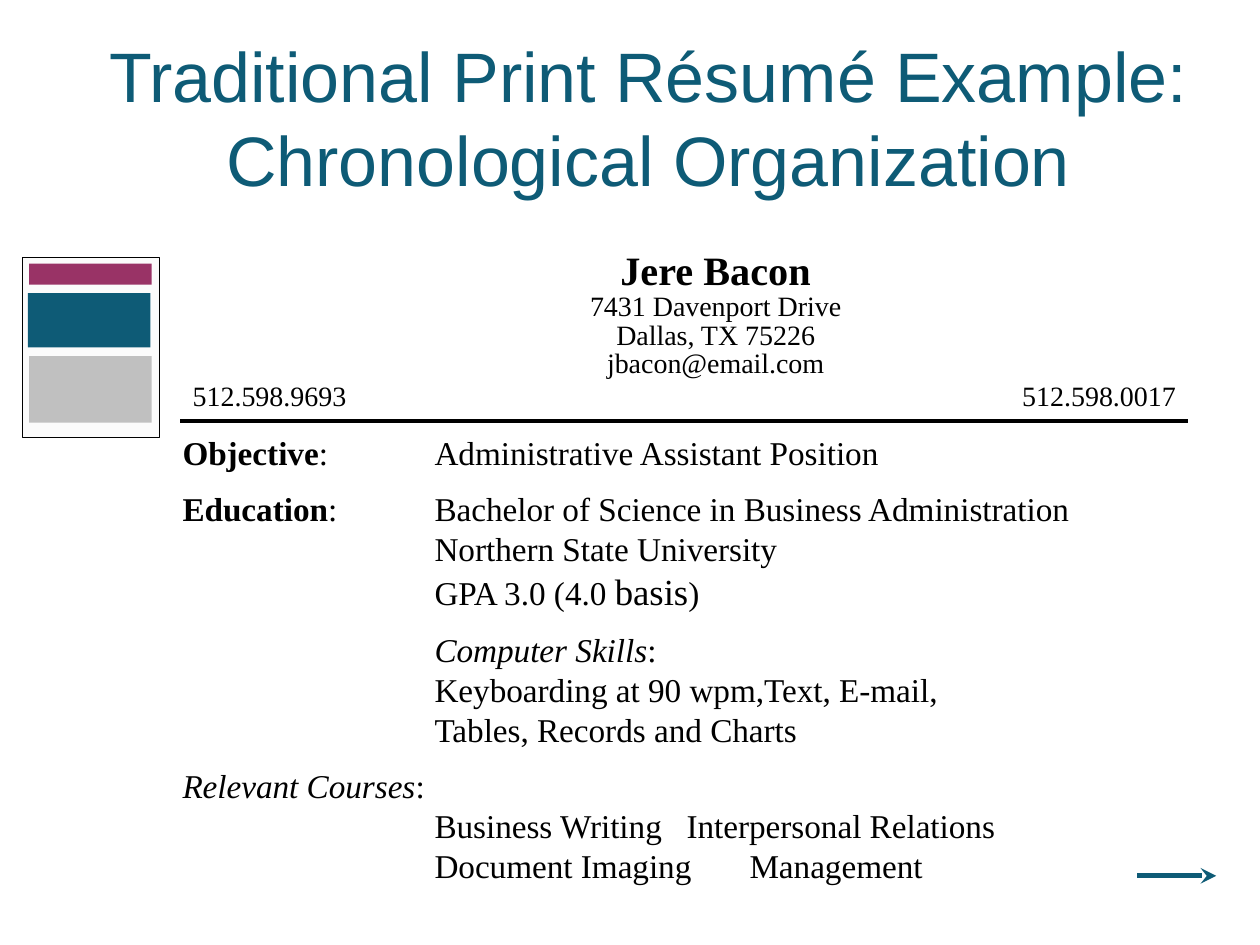
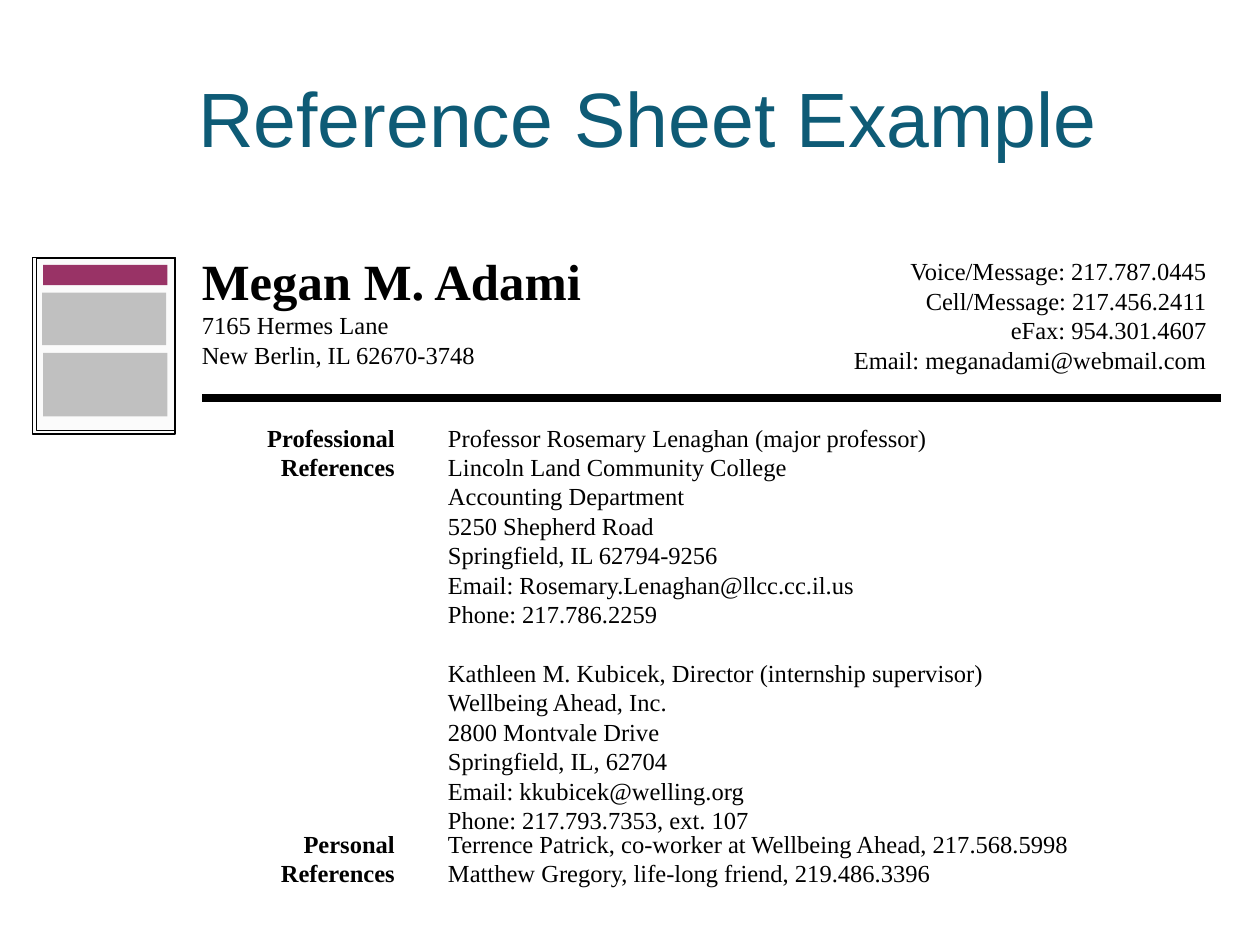
from lxml.etree import SubElement
from pptx import Presentation
from pptx.dml.color import RGBColor
from pptx.enum.shapes import MSO_CONNECTOR, MSO_SHAPE
from pptx.enum.text import MSO_ANCHOR, PP_ALIGN
from pptx.oxml.ns import qn
from pptx.util import Pt

COLORS = {
    "teal": "0E5B76",
    "plum": "993366",
    "silver": "C0C0C0",
    "paper": "FBFBFB",
    "black": "000000",
}
LEFT, CENTER, RIGHT = PP_ALIGN.LEFT, PP_ALIGN.CENTER, PP_ALIGN.RIGHT
WIDE_INSETS = (8, 4)


def color(name):
    return RGBColor.from_string(COLORS[name])


class SlideWriter:
    title_font = "Arial"
    body_font = "Times New Roman"

    def __init__(self, deck):
        self.deck = deck
        self.page = None

    def start_page(self, title, size):
        self.page = self.deck.slides.add_slide(self.deck.slide_layouts[6])
        paragraph = self.text(43, 21.5, 654.5, 90, [title], size, CENTER,
                              font=self.title_font, ink="teal", anchor=MSO_ANCHOR.MIDDLE)[0]
        self.text_shadow(paragraph.runs[0])

    def text_shadow(self, span):
        effects = SubElement(span.font._element, qn("a:effectLst"))
        shadow = SubElement(effects, qn("a:outerShdw"), dist="25400", dir="2700000")
        SubElement(shadow, qn("a:srgbClr"), val=COLORS["black"])

    def text(self, left, top, width, height, lines, size, align=LEFT, font=body_font,
             ink="black", bold=None, insets=(7.2, 3.6), anchor=MSO_ANCHOR.TOP,
             spacing=None, before=0, hanging=0):
        box = self.page.shapes.add_textbox(Pt(left), Pt(top), Pt(width), Pt(height))
        frame = box.text_frame
        frame.word_wrap = True
        frame.vertical_anchor = anchor
        frame.margin_left = frame.margin_right = Pt(insets[0])
        frame.margin_top = frame.margin_bottom = Pt(insets[1])
        for index, line in enumerate(lines):
            paragraph = frame.add_paragraph() if index else frame.paragraphs[0]
            if hanging:
                properties = paragraph._p.get_or_add_pPr()
                properties.set("marL", str(Pt(hanging)))
                properties.set("indent", str(-Pt(hanging) if "\t" in line[0][0] + line[1][0] else 0))
            paragraph.alignment = align
            paragraph.line_spacing = spacing
            paragraph.space_before = Pt(before if index else 0)
            paragraph.font.name = font
            paragraph.font.size = Pt(size)
            paragraph.font.bold = bold
            paragraph.font.color.rgb = color(ink)
            self.spans(paragraph, [(line, {})] if isinstance(line, str) else line)
        return frame.paragraphs

    def spans(self, paragraph, spans):
        for words, style in spans:
            for index, part in enumerate(words.split("\n")):
                if index:
                    paragraph.add_line_break()
                span = paragraph.add_run()
                span.text = part
                for name, value in style.items():
                    setattr(span.font, name, value)

    def rectangle(self, left, top, width, height, fill, outline=None):
        box = self.page.shapes.add_shape(MSO_SHAPE.RECTANGLE, Pt(left), Pt(top),
                                         Pt(width), Pt(height))
        box.shadow.inherit = False
        box.fill.solid()
        box.fill.fore_color.rgb = color(fill)
        if outline:
            box.line.color.rgb = color(outline)
            box.line.width = Pt(0.75)
        else:
            box.line.fill.background()

    def thumbnail(self, left, top, width, height, bars):
        self.rectangle(left, top, width, height, "paper", "black")
        for fill, shift, bar_top, bar_height in bars:
            self.rectangle(left + shift, bar_top, width - 8, bar_height, fill)

    def rule(self, left, right, top, weight, ink="black", arrow=False):
        line = self.page.shapes.add_connector(MSO_CONNECTOR.STRAIGHT, Pt(left), Pt(top),
                                              Pt(right), Pt(top))
        line.line.color.rgb = color(ink)
        line.line.width = Pt(weight)
        if arrow:
            SubElement(line.line._get_or_add_ln(), qn("a:tailEnd"), type="stealth")
        SubElement(line._element.spPr, qn("a:effectLst"))


def build_resume(writer):
    bold, italic = {"bold": True}, {"italic": True}
    writer.start_page("Traditional Print Résumé Example: Chronological Organization", 40)
    writer.text(211, 141, 396, 80, [
        [("Jere Bacon", {"bold": True, "size": Pt(23)})],
        "7431 Davenport Drive",
        "Dallas, TX 75226",
        "jbacon@email.com",
    ], 16, CENTER, spacing=0.85)
    writer.text(103, 213, 204, 27, ["512.598.9693"], 16)
    writer.text(499, 213, 180, 27, ["512.598.0017"], 16, RIGHT)
    writer.rule(103, 679, 240.5, 2)
    writer.text(97.2, 243.4, 630, 290, [
        [("Objective", bold), (":\tAdministrative Assistant Position", {})],
        [("Education", bold),
         (":\tBachelor of Science in Business Administration\n"
          "Northern State University\nGPA 3.0 (4.0 ", {}),
         ("basis", {"size": Pt(21)}), (")", {})],
        [("Computer Skills", italic),
         (":\nKeyboarding at 90 wpm,Text, E-mail,\nTables, Records and Charts", {})],
        [("Relevant Courses", italic),
         (":\nBusiness Writing\tInterpersonal Relations\nDocument Imaging\tManagement", {})],
    ], 19, before=9.5, hanging=144)
    writer.thumbnail(13, 147, 78, 103, [
        ("plum", 3.7, 150.7, 12), ("teal", 3, 167.5, 31), ("silver", 3.7, 203.5, 38)])
    writer.rule(650, 695, 500.5, 3, "teal", arrow=True)


def build_references(writer):
    writer.start_page("Reference Sheet Example", 44)
    writer.rectangle(18.7, 147, 81.4, 101, "paper", "black")
    writer.thumbnail(21, 147.5, 79, 98.5, [
        ("plum", 3.7, 151.3, 11.7), ("silver", 3, 167.3, 30), ("silver", 3.7, 201.7, 36.3)])
    writer.text(115.3, 142.5, 345, 76, [
        [("Megan M. Adami", {"bold": True, "size": Pt(29)})],
        "7165 Hermes Lane",
        "New Berlin, IL 62670-3748",
    ], 14, insets=(0, 0))
    writer.text(461, 142.5, 236.5, 76, [
        "Voice/Message: 217.787.0445",
        "Cell/Message: 217.456.2411",
        "eFax: 954.301.4607",
        "Email: meganadami@webmail.com",
    ], 14, RIGHT, insets=WIDE_INSETS)
    writer.rule(115.5, 697.5, 227.5, 4.5)

    professional = [
        "Professor Rosemary Lenaghan (major professor)",
        "Lincoln Land Community College",
        "Accounting Department",
        "5250 Shepherd Road",
        "Springfield, IL 62794-9256",
        "Email: Rosemary.Lenaghan@llcc.cc.il.us",
        "Phone: 217.786.2259",
        "Kathleen M. Kubicek, Director (internship supervisor)",
        "Wellbeing Ahead, Inc.",
        "2800 Montvale Drive",
        "Springfield, IL, 62704",
        "Email: kkubicek@welling.org",
        "Phone: 217.793.7353, ext. 107",
    ]
    personal = [
        "Terrence Patrick, co-worker at Wellbeing Ahead, 217.568.5998",
        "Matthew Gregory, life-long friend, 219.486.3396",
    ]
    sections = [("Professional", professional, 237.5, 224), ("Personal", personal, 469.5, 70)]
    for kind, people, top, height in sections:
        writer.text(115.2, top, 118.5, 58, [kind, "References"], 14, RIGHT,
                    bold=True, insets=WIDE_INSETS)
        paragraphs = writer.text(248, top, 464, height, people, 14, insets=WIDE_INSETS)
        for paragraph in paragraphs:
            if paragraph.text.startswith("Kathleen"):
                paragraph.space_before = Pt(16.8)


def main():
    deck = Presentation()
    deck.slide_width, deck.slide_height = Pt(720), Pt(540)
    writer = SlideWriter(deck)
    build_resume(writer)
    build_references(writer)
    deck.save("out.pptx")


if __name__ == "__main__":
    main()
